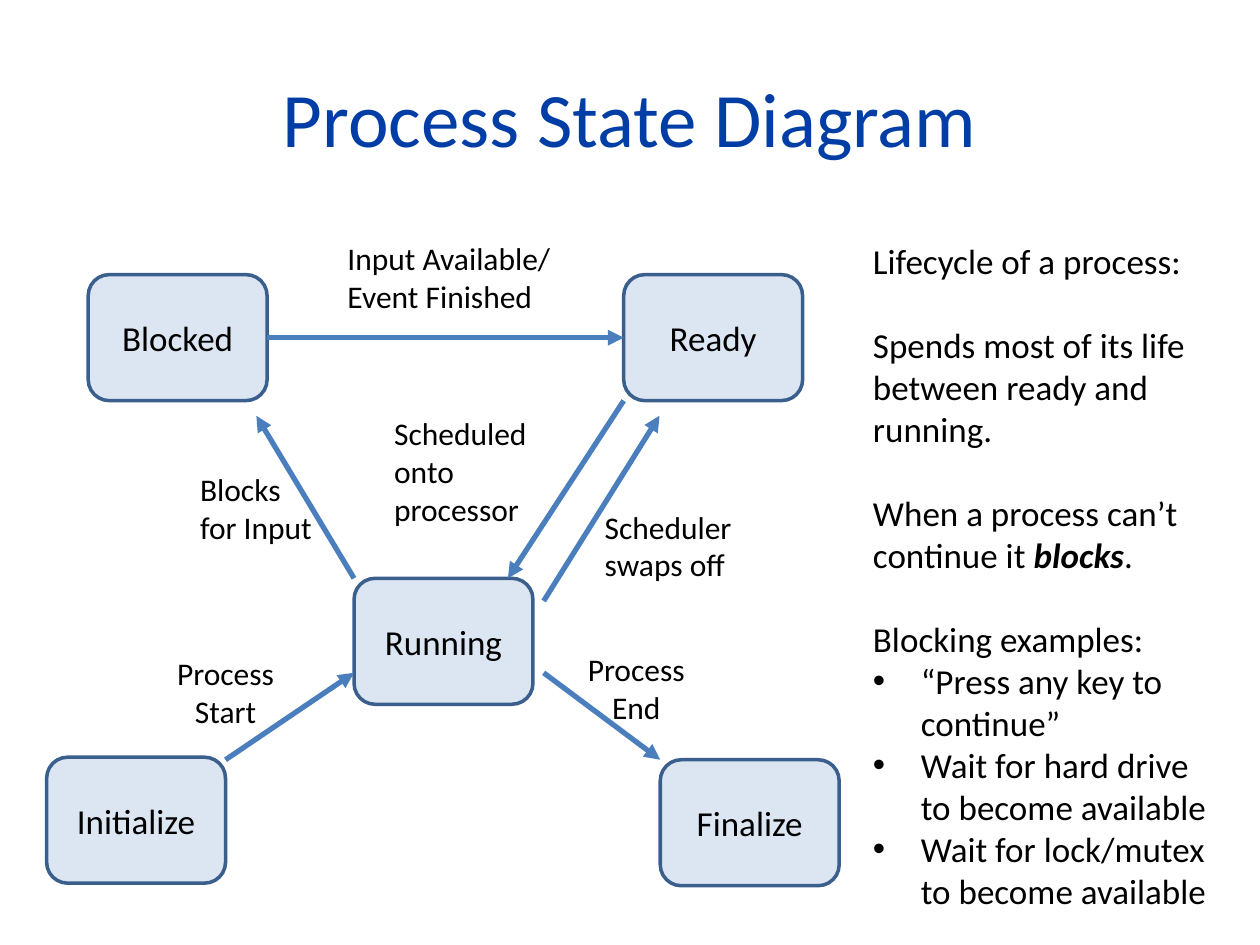
from lxml import etree
from pptx import Presentation
from pptx import util as u
from pptx.dml.color import RGBColor
from pptx.enum import shapes, text
from pptx.oxml.ns import qn

TITLE_BLUE = RGBColor(0x00, 0x3D, 0xA5)
NODE_FILL = RGBColor(0xDC, 0xE6, 0xF2)
NODE_LINE = RGBColor(0x3A, 0x5F, 0x8C)
ARROW_BLUE = RGBColor(0x4B, 0x7E, 0xBC)
BLACK = RGBColor(0, 0, 0)

SLIDE_W, SLIDE_H = u.Inches(10), u.Inches(7.5)
UNIT = SLIDE_W // 100  # the slide is a grid of 100 columns by 75 rows
NODE_W, NODE_H = 14.2, 10
LEFT, CENTER = text.PP_ALIGN.LEFT, text.PP_ALIGN.CENTER

# Top left corner of each state, in grid units from the diagram's corner
NODES = {
    "Blocked": (3.3, 3.3),
    "Ready": (45.8, 3.3),
    "Running": (24.4, 27.4),
    "Initialize": (0, 41.6),
    "Finalize": (48.7, 41.8),
}
# Each end: state, then share of its width and height
ARROWS = [
    (("Blocked", 1, 0.5), ("Ready", 0, 0.5)),
    (("Running", 0, 0), ("Blocked", 0.94, 1.12)),
    (("Initialize", 1, 0.02), ("Running", 0, 0.75)),
    (("Running", 1.06, 0.75), ("Finalize", 0, 0)),
    (("Running", 1.06, 0.18), ("Ready", 0.2, 1.12)),
    (("Ready", 0, 1), ("Running", 0.86, 0)),
]
# Wording, box, alignment, wrap
LABELS = [
    ("Input Available/\nEvent Finished", (22.9, 0, 18.3, 7.1), LEFT, False),
    ("Process\nStart", (9.3, 32.9, 9.8, 7.1), CENTER, False),
    ("Process\nEnd", (41.9, 32.6, 9.8, 7.1), CENTER, False),
    ("Blocks\nfor Input", (11.2, 18.3, 11, 7.1), LEFT, False),
    ("Scheduled onto\nprocessor", (26.6, 13.9, 14.9, 10.1), LEFT, True),
    ("Scheduler\nswaps off", (43.3, 21.3, 12.2, 7.1), LEFT, False),
]
# Runs (wording, emphasised), bulleted, starts a new block
NOTES = [
    ([("Lifecycle of a process:", False)], False, False),
    ([("Spends most of its life\nbetween ready and\nrunning.", False)], False, True),
    ([("When a process can’t\ncontinue it ", False), ("blocks", True), (".", False)], False, True),
    ([("Blocking examples:", False)], False, True),
    ([("“Press any key to\ncontinue”", False)], True, False),
    ([("Wait for hard drive\nto become available", False)], True, False),
    ([("Wait for lock/mutex\nto become available", False)], True, False),
]


def grid(*lengths):
    return [round(n * UNIT) for n in lengths]


def add_text(p, words, size=20, color=BLACK, align=LEFT, strong=False):
    """Append words to a paragraph; each newline becomes a line break."""
    p.alignment = align
    for i, line in enumerate(words.split("\n")):
        if i:
            p.add_line_break()
        r = p.add_run()
        r.text = line
        r.font.name, r.font.size = "Calibri", u.Pt(size)
        r.font.color.rgb = color
        r.font.bold = r.font.italic = strong


def add_box(s, box, wrap=True, grow=True, anchor=text.MSO_ANCHOR.TOP):
    tf = s.shapes.add_textbox(*grid(*box)).text_frame
    tf.word_wrap = wrap
    tf.vertical_anchor = anchor
    if grow:
        tf.auto_size = text.MSO_AUTO_SIZE.SHAPE_TO_FIT_TEXT
    return tf


def add_bullet(p):
    pPr = p._p.get_or_add_pPr()
    indent = u.Inches(0.38)
    pPr.set("marL", str(indent))
    pPr.set("indent", str(-indent))
    etree.SubElement(pPr, qn("a:buFont")).set("typeface", "Arial")
    etree.SubElement(pPr, qn("a:buChar")).set("char", "•")


def add_node(s, name, x, y):
    sp = s.shapes.add_shape(shapes.MSO_SHAPE.ROUNDED_RECTANGLE,
                            *grid(x, y, NODE_W, NODE_H))
    sp.shadow.inherit = False
    sp.fill.solid()
    sp.fill.fore_color.rgb = NODE_FILL
    sp.line.color.rgb = NODE_LINE
    sp.line.width = u.Pt(2)
    sp.text_frame.vertical_anchor = text.MSO_ANCHOR.MIDDLE
    add_text(sp.text_frame.paragraphs[0], name, align=CENTER)


def add_arrow(s, start, end):
    line = s.shapes.add_connector(shapes.MSO_CONNECTOR.STRAIGHT,
                                  *grid(*start, *end))
    line.line.color.rgb = ARROW_BLUE
    line.line.width = u.Pt(3)
    etree.SubElement(line.line._get_or_add_ln(), qn("a:tailEnd")).set("type", "triangle")
    etree.SubElement(line._element.spPr, qn("a:effectLst"))


def title(s, box):
    tf = add_box(s, box, grow=False, anchor=text.MSO_ANCHOR.MIDDLE)
    add_text(tf.paragraphs[0], "Process State Diagram", size=44,
             color=TITLE_BLUE, align=CENTER)


def state_diagram(s, left, top):
    def point(node, share_x, share_y):
        x, y = NODES[node]
        return left + x + share_x * NODE_W, top + y + share_y * NODE_H

    for name in NODES:
        add_node(s, name, *point(name, 0, 0))
    for start, end in ARROWS:
        add_arrow(s, point(*start), point(*end))
    for words, (x, y, w, h), align, wrap in LABELS:
        tf = add_box(s, (left + x, top + y, w, h), wrap=wrap)
        add_text(tf.paragraphs[0], words, size=18, align=align)


def lifecycle_notes(s, box):
    tf = add_box(s, box, wrap=False)
    for i, (runs, bulleted, new_block) in enumerate(NOTES):
        p = tf.add_paragraph() if i else tf.paragraphs[0]
        if new_block:
            p.space_before = u.Pt(24)
        if bulleted:
            add_bullet(p)
        for words, strong in runs:
            add_text(p, words, strong=strong)


def main():
    prs = Presentation()
    prs.slide_width, prs.slide_height = SLIDE_W, SLIDE_H
    s = prs.slides.add_slide(prs.slide_layouts[6])
    title(s, (5, 3, 90, 12.5))
    state_diagram(s, 3.7, 18.5)
    lifecycle_notes(s, (68.3, 18.5, 29.5, 54.9))
    prs.save("out.pptx")


if __name__ == "__main__":
    main()
